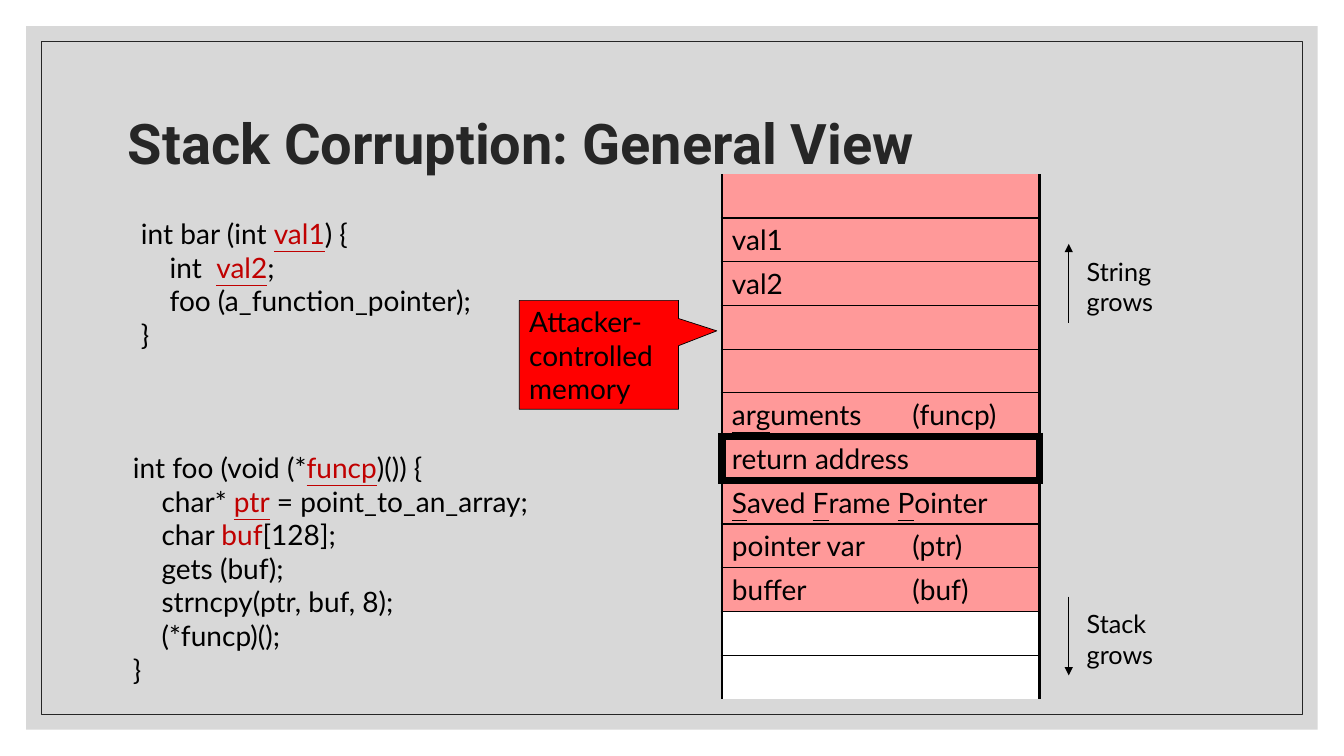
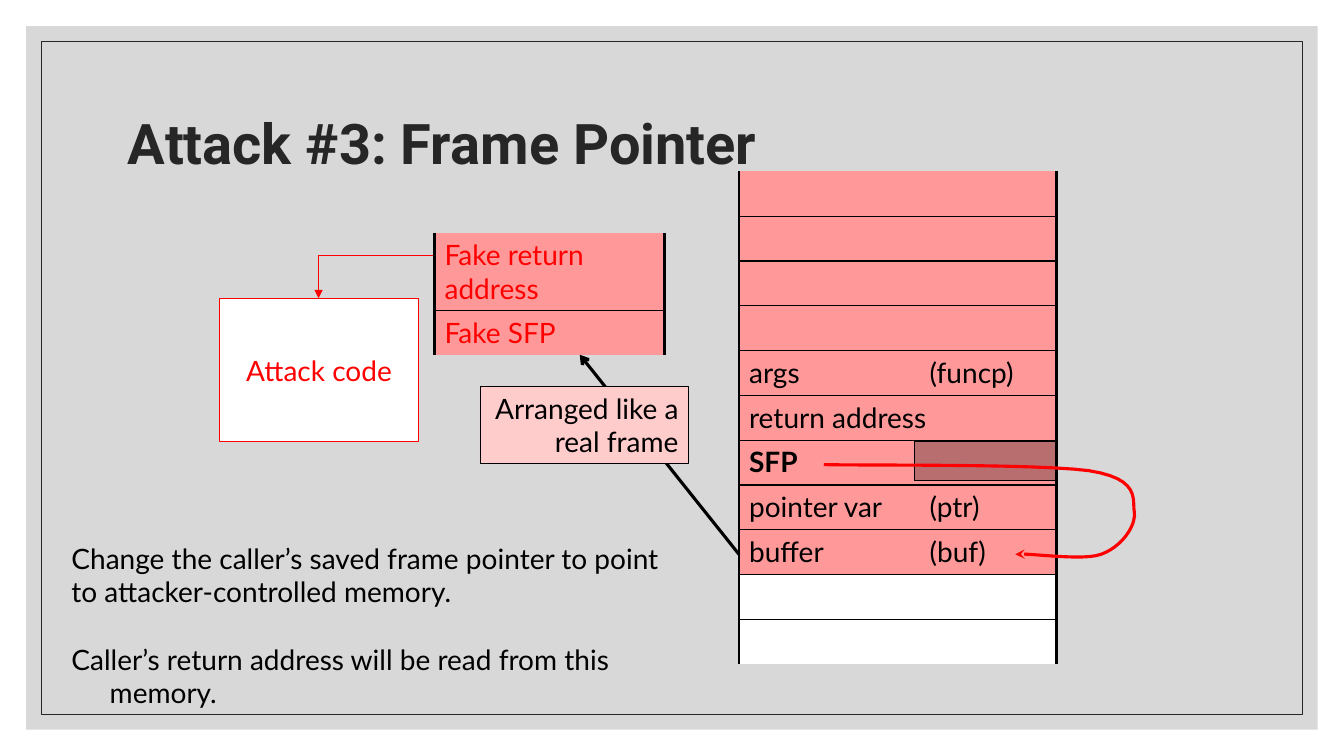
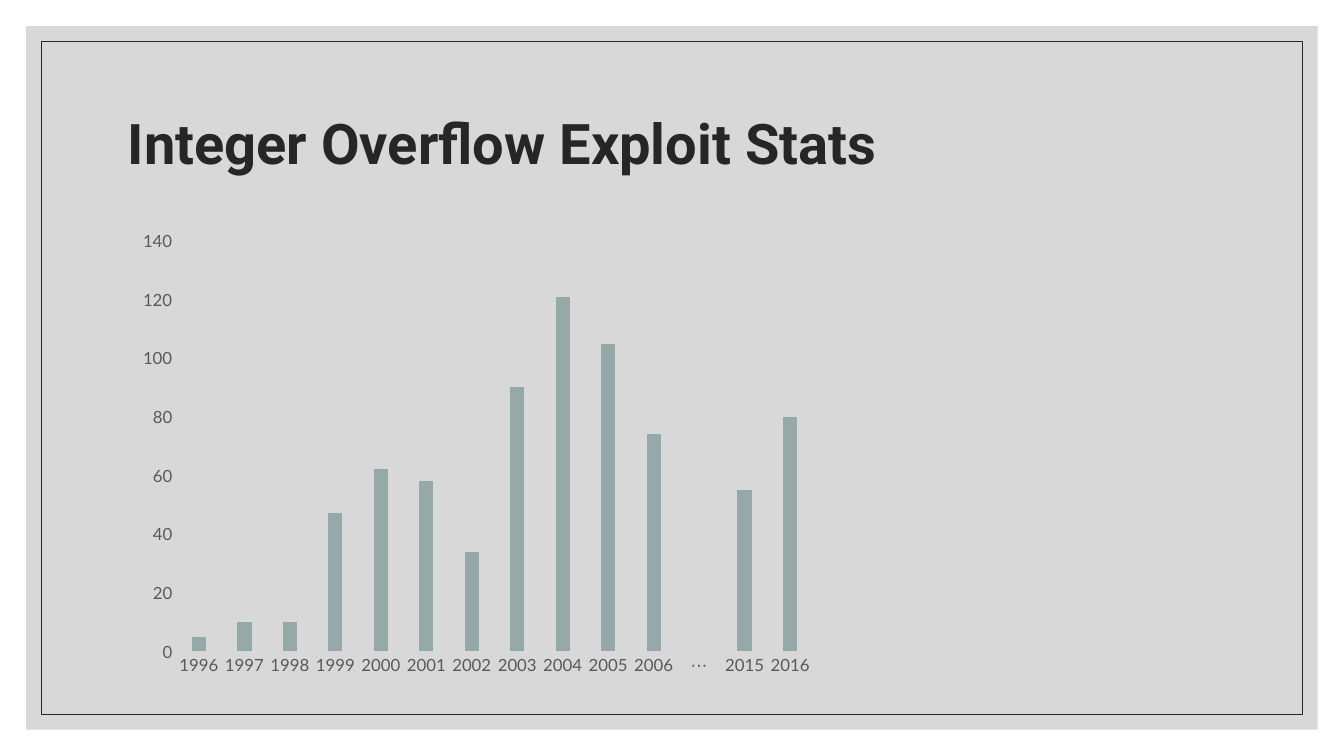
from lxml import etree
from pptx import Presentation
from pptx import util as u
from pptx.chart.data import CategoryChartData
from pptx.dml.color import RGBColor
from pptx.enum import chart as charts, shapes, text
from pptx.oxml import ns

BLACK = RGBColor(0, 0, 0)
WHITE = RGBColor(255, 255, 255)
INK = RGBColor(0x26, 0x26, 0x26)
PANEL = RGBColor(0xBF, 0xBF, 0xBF)
CODE_RED = RGBColor(0xC0, 0, 0)
RED = RGBColor(255, 0, 0)
PINK = RGBColor(255, 0x99, 0x99)
PALE = RGBColor(255, 0xCC, 0xCC)
SAGE = RGBColor(0x96, 0xA9, 0xA9)
GRAY = RGBColor(0x59, 0x59, 0x59)
GRID = RGBColor(0xD9, 0xD9, 0xD9)
BODY, HEAD = "Lato", "Roboto"
LEFT, RIGHT, CENTER = text.PP_ALIGN.LEFT, text.PP_ALIGN.RIGHT, text.PP_ALIGN.CENTER
WIDTH, HEIGHT = 13.33, 7.5

TITLES = ["Stack Corruption: General View", "Attack #3: Frame Pointer",
          "Integer Overflow Exploit Stats"]
BAR_CODE = [
    [("int bar (int ", ""), ("val1", "ru"), (") {", "")],
    [("    int  ", ""), ("val2", "ru"), (";", "")],
    "    foo (a_function_pointer);",
    "}",
]
FOO_CODE = [
    [("int foo (void (*", ""), ("funcp", "ru"), (")()) {", "")],
    [("    char* ", ""), ("ptr", "ru"), (" = point_to_an_array;", "")],
    [("    char ", ""), ("buf", "r"), ("[128];", "")],
    "    gets (buf);",
    "    strncpy(ptr, buf, 8);",
    "    (*funcp)();",
    "}",
]
LOCALS = ["pointer var\t(ptr)", "buffer\t(buf)"]
GENERAL_STACK = [
    "", "val1", "val2", "", "",
    [("arg", "u"), ("uments\t(funcp)", "")],
    "return address",
    [("S", "u"), ("aved ", ""), ("F", "u"), ("rame ", ""), ("P", "u"), ("ointer", "")],
    *LOCALS, "", "",
]
FRAME_STACK = ["", "", "", "", "args\t(funcp)", "return address", [("SFP", "b")],
               *LOCALS, "", ""]
FAKE_FRAME = ["Fake return address", "Fake SFP"]
EXPLANATION = [
    "Change the caller’s saved frame pointer to point",
    "to attacker-controlled memory.",
    "Caller’s return address will be read from this memory.",
]
GROWTH = [("String grows", 2.42, True), ("Stack grows", 5.92, False)]
OVERWRITE_START = (8.17, 4.61)
OVERWRITE_CURVES = [
    ((8.53, 4.62), (10.28, 4.6), (10.8, 4.67)),
    ((11.31, 4.75), (11.23, 4.95), (11.25, 5.08)),
    ((11.27, 5.22), (11.12, 5.43), (10.92, 5.5)),
    ((10.73, 5.57), (10.18, 5.48), (10.07, 5.5)),
]
EXPLOITS = {
    "1996": 5, "1997": 10, "1998": 10, "1999": 47, "2000": 62, "2001": 58, "2002": 34,
    "2003": 90, "2004": 121, "2005": 105, "2006": 74, "⋯": None, "2015": 55, "2016": 80,
}


def inches(*values):
    return [u.Inches(value) for value in values]


def add_child(parent, tag, **attributes):
    return etree.SubElement(parent, ns.qn(tag), attributes)


def set_font(font, size, color, name=BODY, bold=None):
    font.size, font.name, font.bold = u.Pt(size), name, bold
    font.color.rgb = color


def write(frame, lines, size=20, color=BLACK, name=BODY, align=LEFT, bold=None, tab=None):
    for index, line in enumerate(lines):
        paragraph = frame.add_paragraph() if index else frame.paragraphs[0]
        paragraph.alignment = align
        runs = [(line, "")] if isinstance(line, str) else line
        if tab and any("\t" in words for words, _ in runs):
            stops = add_child(paragraph._p.get_or_add_pPr(), "a:tabLst")
            add_child(stops, "a:tab", pos=str(u.Inches(tab)), algn="l")
        for words, style in runs:
            run = paragraph.add_run()
            run.text = words
            set_font(run.font, size, CODE_RED if "r" in style else color, name,
                     bold or "b" in style)
            run.font.underline = "u" in style


def add_text(slide, box, lines, **style):
    frame = slide.shapes.add_textbox(*inches(*box)).text_frame
    frame.word_wrap = True
    write(frame, lines, **style)
    return frame


def add_block(slide, box, fill=None, line=BLACK, alpha=None,
              kind=shapes.MSO_SHAPE.RECTANGLE):
    shape = slide.shapes.add_shape(kind, *inches(*box))
    shape.shadow.inherit = False
    if fill is None:
        shape.fill.background()
    else:
        shape.fill.solid()
        shape.fill.fore_color.rgb = fill
        if alpha:
            color = shape.element.spPr.find(".//" + ns.qn("a:srgbClr"))
            add_child(color, "a:alpha", val=str(alpha * 1000))
    if line is None:
        shape.line.fill.background()
    else:
        shape.line.color.rgb = line
        shape.line.width = u.Pt(0.5)
    return shape


def style_line(shape, color, width, arrow):
    shape.line.color.rgb = color
    shape.line.width = u.Pt(width)
    add_child(shape.line._get_or_add_ln(), "a:tailEnd", type=arrow)


def add_arrow(slide, start, end, color=BLACK, width=0.5, arrow="triangle",
              kind=shapes.MSO_CONNECTOR.STRAIGHT):
    connector = slide.shapes.add_connector(kind, *inches(*start, *end))
    style_line(connector, color, width, arrow)
    add_child(connector.element.spPr, "a:effectLst")
    return connector


def add_edge(cell, side, width):
    properties = cell._tc.get_or_add_tcPr()
    line = add_child(properties, "a:ln" + side, w=str(u.Pt(width)))
    if width:
        add_child(add_child(line, "a:solidFill"), "a:srgbClr", val=str(BLACK))
    else:
        add_child(line, "a:noFill")


def add_stack(slide, left, top, width, heights, rows, free=0, framed=None, color=BLACK,
              tab=1.79):
    table = slide.shapes.add_table(
        len(rows), 1, *inches(left, top, width, sum(heights))).table
    table.first_row = table.horz_banding = False
    rules = [0] + [1] * (len(rows) - 1) + [0]
    if framed is not None:
        rules[framed:framed + 2] = [6, 6]
    for index, (height, line) in enumerate(zip(heights, rows)):
        table.rows[index].height = u.Inches(height)
        cell = table.cell(index, 0)
        side = 6 if index == framed else 2.25
        for name, weight in zip("LRTB", (side, side, rules[index], rules[index + 1])):
            add_edge(cell, name, weight)
        cell.fill.solid()
        cell.fill.fore_color.rgb = WHITE if index >= len(rows) - free else PINK
        if line:
            write(cell.text_frame, [line], color=color, tab=tab)


def bezier(start, first, second, end, steps=12):
    for step in range(1, steps + 1):
        t = step / steps
        s = 1 - t
        yield tuple(s ** 3 * a + 3 * s * s * t * b + 3 * s * t * t * c + t ** 3 * d
                    for a, b, c, d in zip(start, first, second, end))


def add_curve(slide, start, curves):
    points, here = [], start
    for curve in curves:
        points += bezier(here, *curve)
        here = curve[-1]
    builder = slide.shapes.build_freeform(*inches(*start))
    builder.add_line_segments([inches(*point) for point in points], close=False)
    shape = builder.convert_to_shape()
    shape.shadow.inherit = False
    shape.fill.background()
    style_line(shape, RED, 2.25, "stealth")


def add_panels(slide):
    layout_tree = slide.slide_layout.shapes.element
    for margin, fill, line, alpha in ((0.26, PANEL, None, 60), (0.41, None, INK, None)):
        box = (margin, margin, WIDTH - 2 * margin, HEIGHT - 2 * margin)
        layout_tree.append(add_block(slide, box, fill, line, alpha).element)


def add_title(slide, title):
    frame = add_text(slide, (1.17, 0.7, 11, 1.5), [title], size=40, color=INK,
                     name=HEAD, bold=True)
    frame.vertical_anchor = text.MSO_ANCHOR.MIDDLE
    frame.paragraphs[0].line_spacing = 0.9


def build_general_view(slide):
    add_text(slide, (1.22, 4.42, 5, 2.46), FOO_CODE)
    add_text(slide, (1.3, 2.1, 3.73, 1.45), BAR_CODE)
    for label, top, upward in GROWTH:
        ends = [(10.6, top), (10.6, top + 0.78)]
        add_arrow(slide, *(reversed(ends) if upward else ends))
        add_text(slide, (10.68, top + 0.07, 0.9, 0.71), [label], size=18)
    callout = add_block(slide, (5.15, 2.98, 1.58, 1.08), RED,
                        kind=shapes.MSO_SHAPE.RECTANGULAR_CALLOUT)
    callout.adjustments[0], callout.adjustments[1] = 0.74, -0.22
    write(callout.text_frame, ["Attacker-controlled memory"])
    add_stack(slide, 7.16, 1.73, 3.15, [5.2 / 12] * 12, GENERAL_STACK, free=2, framed=6)


def build_frame_pointer(slide):
    add_stack(slide, 7.33, 1.7, 3.15, [4.89 / 11] * 11, FRAME_STACK, free=2)
    code = add_block(slide, (2.18, 2.96, 1.97, 1.42), WHITE, RED)
    code.text_frame.word_wrap = False
    write(code.text_frame, ["Attack code"], color=RED, align=CENTER)
    elbow = add_arrow(slide, (4.31, 2.53), (3.16, 2.96), RED,
                      kind=shapes.MSO_CONNECTOR.ELBOW)
    elbow.element.spPr.find(ns.qn("a:prstGeom")).set("prst", "bentConnector2")
    add_block(slide, (9.07, 4.38, 1.42, 0.39), BLACK, alpha=28)
    add_stack(slide, 4.31, 2.31, 2.28, [0.77, 0.44], FAKE_FRAME, color=RED)
    frame = add_text(slide, (0.61, 5.32, 6.49, 1.45), EXPLANATION)
    for paragraph in frame.paragraphs:
        properties = paragraph._p.get_or_add_pPr()
        properties.set("marL", str(u.Inches(0.38)))
        properties.set("indent", str(u.Inches(-0.38)))
    frame.paragraphs[-1].space_before = u.Pt(24)
    add_arrow(slide, (7.33, 5.5), (5.75, 3.52), width=2.25, arrow="arrow")
    label = add_block(slide, (4.76, 3.83, 2.07, 0.77), PALE)
    write(label.text_frame, ["Arranged like a", "real frame"], align=RIGHT)
    add_curve(slide, OVERWRITE_START, OVERWRITE_CURVES)


def build_exploit_stats(slide):
    data = CategoryChartData()
    data.categories = list(EXPLOITS)
    data.add_series("Series 1", list(EXPLOITS.values()))
    chart = slide.shapes.add_chart(charts.XL_CHART_TYPE.COLUMN_CLUSTERED,
                                   *inches(1.28, 2.2, 6.92, 4.59), data).chart
    chart.has_legend = chart.has_title = False
    set_font(chart.font, 10, BLACK)
    plot = chart.plots[0]
    plot.gap_width, plot.overlap, plot.vary_by_categories = 219, -27, False
    fill = plot.series[0].format.fill
    fill.solid()
    fill.fore_color.rgb = SAGE
    years, counts = chart.category_axis, chart.value_axis
    for axis in (years, counts):
        axis.major_tick_mark = axis.minor_tick_mark = charts.XL_TICK_MARK.NONE
        set_font(axis.tick_labels.font, 12, GRAY)
    counts.minimum_scale, counts.maximum_scale, counts.major_unit = 0, 140, 20
    counts.format.line.fill.background()
    for line in (years.format.line, counts.major_gridlines.format.line):
        line.color.rgb = GRID
        line.width = u.Pt(0.75)


def main():
    presentation = Presentation()
    presentation.slide_width, presentation.slide_height = inches(WIDTH, HEIGHT)
    builders = (build_general_view, build_frame_pointer, build_exploit_stats)
    for index, (title, build) in enumerate(zip(TITLES, builders)):
        slide = presentation.slides.add_slide(presentation.slide_layouts[6])
        if index == 0:
            add_panels(slide)
        build(slide)
        add_title(slide, title)
    presentation.save("out.pptx")


if __name__ == "__main__":
    main()
